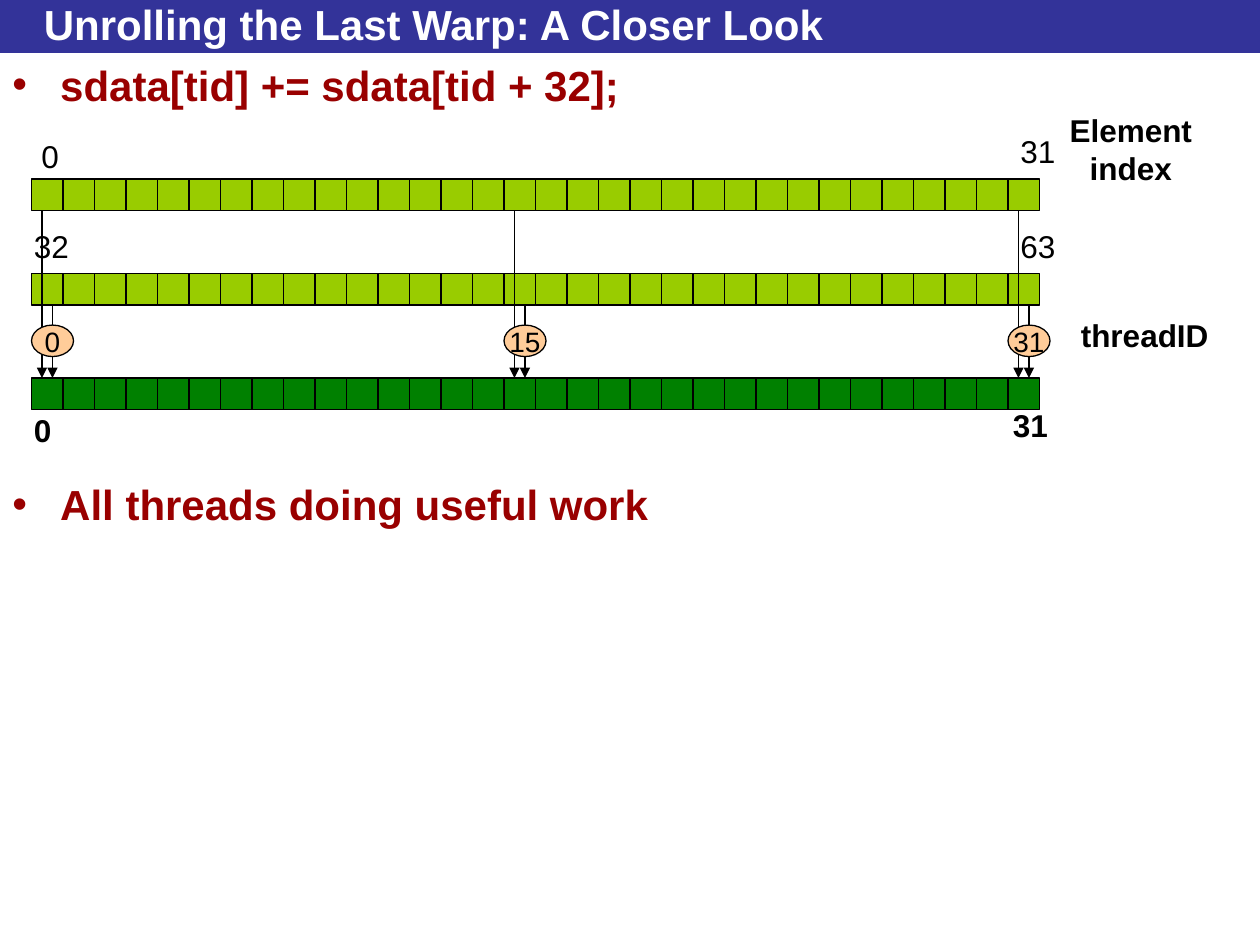
from lxml.etree import SubElement
from pptx import Presentation
from pptx.dml.color import RGBColor
from pptx.enum.shapes import MSO_CONNECTOR, MSO_SHAPE
from pptx.enum.text import MSO_ANCHOR, MSO_AUTO_SIZE, PP_ALIGN
from pptx.oxml.ns import qn
from pptx.util import Inches, Pt

NAVY = RGBColor(0x33, 0x33, 0x99)
WHITE = RGBColor(0xFF, 0xFF, 0xFF)
BLACK = RGBColor(0x00, 0x00, 0x00)
RED = RGBColor(0x99, 0x00, 0x00)
LIME = RGBColor(0x99, 0xCC, 0x00)
GREEN = RGBColor(0x00, 0x80, 0x00)
PEACH = RGBColor(0xFF, 0xCC, 0x99)

FONT = "Arial"
SLIDE_WIDTH, SLIDE_HEIGHT = 10, 7.5
CELL = 0.25
COLUMNS = 32
FIRST_ROW, SECOND_ROW, RESULT_ROW = 1.42, 2.17, 3
THREAD_TOP = 2.58
BANNER_HEIGHT = 0.42


def column_left(column):
    return (column + 1) * CELL


def add_run(paragraph, text, size, color=BLACK, bold=False):
    run = paragraph.add_run()
    run.text = text
    run.font.name = FONT
    run.font.size = Pt(size)
    run.font.bold = bold
    run.font.color.rgb = color


def add_filled_shape(slide, kind, left, top, width, height, fill, line=BLACK):
    shape = slide.shapes.add_shape(
        kind, Inches(left), Inches(top), Inches(width), Inches(height))
    shape.shadow.inherit = False
    shape.fill.solid()
    shape.fill.fore_color.rgb = fill
    if line is None:
        shape.line.fill.background()
    else:
        shape.line.color.rgb = line
        shape.line.width = Pt(0.75)
    return shape


def add_text_box(slide, left, top, width, height, wrap=True):
    box = slide.shapes.add_textbox(
        Inches(left), Inches(top), Inches(width), Inches(height))
    box.text_frame.word_wrap = wrap
    return box.text_frame


def add_title(slide, text):
    add_filled_shape(slide, MSO_SHAPE.RECTANGLE, 0, 0, SLIDE_WIDTH,
                     BANNER_HEIGHT, NAVY, line=None)
    frame = add_text_box(slide, 0.25, 0.05, 9.25, 0.28)
    frame.vertical_anchor = MSO_ANCHOR.MIDDLE
    add_run(frame.paragraphs[0], text, 24, WHITE, bold=True)


def add_bullet(slide, text, top):
    paragraph = add_text_box(slide, 0, top, SLIDE_WIDTH, 0.58).paragraphs[0]
    properties = paragraph._p.get_or_add_pPr()
    properties.set("marL", str(Inches(0.38)))
    properties.set("indent", str(Inches(-0.38)))
    color = SubElement(properties, qn("a:buClr"))
    SubElement(color, qn("a:srgbClr")).set("val", str(RED))
    SubElement(properties, qn("a:buFont")).set("typeface", FONT)
    SubElement(properties, qn("a:buChar")).set("char", "•")
    add_run(paragraph, text, 24, RED, bold=True)


def add_label(slide, lines, left, top, width, bold=False):
    """Add a label whose box grows with its unwrapped lines."""
    frame = add_text_box(slide, left, top, width, 0.1 + 0.3 * len(lines), wrap=False)
    frame.auto_size = MSO_AUTO_SIZE.SHAPE_TO_FIT_TEXT
    for index, line in enumerate(lines):
        paragraph = frame.add_paragraph() if index else frame.paragraphs[0]
        if len(lines) > 1:
            paragraph.alignment = PP_ALIGN.CENTER
        add_run(paragraph, line, 18, bold=bold)


def add_cell_row(slide, top, fill):
    for column in range(COLUMNS):
        add_filled_shape(slide, MSO_SHAPE.RECTANGLE, column_left(column), top,
                         CELL, CELL, fill)


def add_down_arrow(slide, x, top, bottom):
    arrow = slide.shapes.add_connector(
        MSO_CONNECTOR.STRAIGHT, Inches(x), Inches(top), Inches(x), Inches(bottom))
    arrow.line.color.rgb = BLACK
    arrow.line.width = Pt(0.75)
    SubElement(arrow.line._get_or_add_ln(), qn("a:tailEnd")).set("type", "triangle")
    SubElement(arrow._element.spPr, qn("a:effectLst"))


def add_thread(slide, thread):
    """Add a thread's marker and the arrows from its two input elements."""
    left = column_left(thread)
    add_down_arrow(slide, left + CELL / 3, FIRST_ROW + CELL, RESULT_ROW)
    add_down_arrow(slide, left + CELL * 2 / 3, SECOND_ROW + CELL, RESULT_ROW)
    marker = add_filled_shape(slide, MSO_SHAPE.OVAL, left, THREAD_TOP,
                              CELL * 4 / 3, CELL, PEACH)
    frame = marker.text_frame
    frame.word_wrap = False
    frame.vertical_anchor = MSO_ANCHOR.MIDDLE
    frame.paragraphs[0].alignment = PP_ALIGN.CENTER
    add_run(frame.paragraphs[0], str(thread), 16)


def main():
    presentation = Presentation()
    presentation.slide_width = Inches(SLIDE_WIDTH)
    presentation.slide_height = Inches(SLIDE_HEIGHT)
    slide = presentation.slides.add_slide(presentation.slide_layouts[6])

    add_title(slide, "Unrolling the Last Warp: A Closer Look")
    add_bullet(slide, "sdata[tid] += sdata[tid + 32];", BANNER_HEIGHT)

    for top, fill in ((FIRST_ROW, LIME), (SECOND_ROW, LIME), (RESULT_ROW, GREEN)):
        add_cell_row(slide, top, fill)
    for thread in (0, 15, 31):
        add_thread(slide, thread)

    add_label(slide, ["0"], 0.23, 1.04, 0.34)
    add_label(slide, ["31"], 8, 1, 0.48)
    add_label(slide, ["32"], 0.17, 1.75, 0.48)
    add_label(slide, ["63"], 8, 1.75, 0.48)
    add_label(slide, ["0"], 0.17, 3.21, 0.34, bold=True)
    add_label(slide, ["31"], 7.94, 3.17, 0.48, bold=True)
    add_label(slide, ["threadID"], 8.48, 2.46, 1.23, bold=True)
    add_label(slide, ["Element", "index"], 8.39, 0.83, 1.17, bold=True)

    add_bullet(slide, "All threads doing useful work", SLIDE_HEIGHT / 2)
    presentation.save("out.pptx")


if __name__ == "__main__":
    main()
